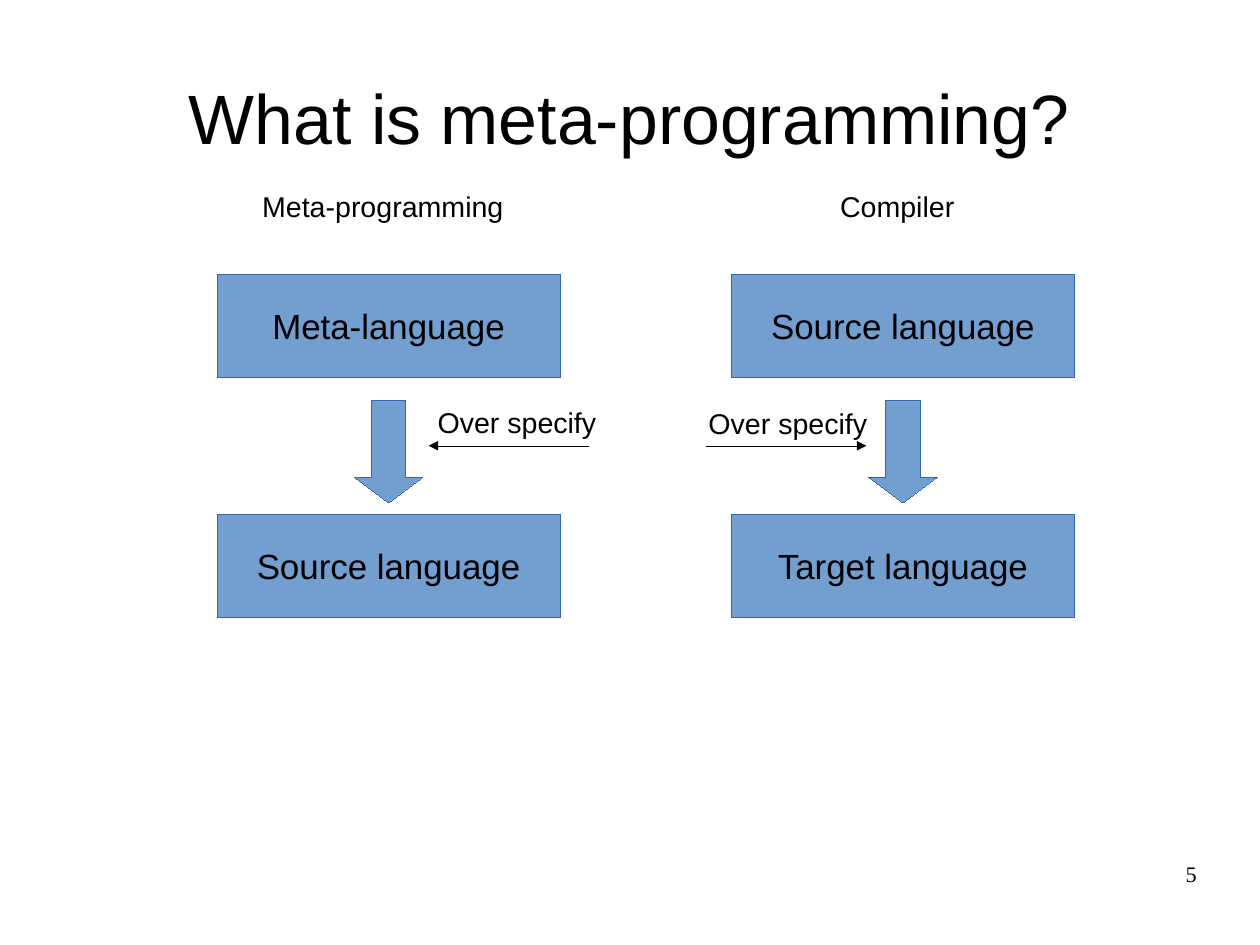
from lxml import etree
from pptx import Presentation
from pptx.dml.color import RGBColor
from pptx.enum.shapes import MSO_CONNECTOR, MSO_SHAPE
from pptx.enum.text import MSO_ANCHOR, MSO_AUTO_SIZE, PP_ALIGN
from pptx.oxml.ns import qn
from pptx.util import Pt

STRAIGHT = MSO_CONNECTOR.STRAIGHT
PROCESS, DOWN_ARROW = MSO_SHAPE.FLOWCHART_PROCESS, MSO_SHAPE.DOWN_ARROW
TOP, MIDDLE = MSO_ANCHOR.TOP, MSO_ANCHOR.MIDDLE
LEFT, CENTER, RIGHT = PP_ALIGN.LEFT, PP_ALIGN.CENTER, PP_ALIGN.RIGHT
FIT_SHAPE = MSO_AUTO_SIZE.SHAPE_TO_FIT_TEXT

COLORS = {"text": "000000", "fill": "729FCF", "line": "3465AF"}

presentation = Presentation()
presentation.slide_width, presentation.slide_height = Pt(793.7), Pt(595.28)
slide = presentation.slides.add_slide(presentation.slide_layouts[6])


def write(shape, text, size, align=CENTER, anchor=TOP, wrap=True,
          margins=(7.2, 3.6), font="Arial", fit=None):
    frame = shape.text_frame
    frame_format = {
        "word_wrap": wrap, "vertical_anchor": anchor,
        "margin_left": Pt(margins[0]), "margin_right": Pt(margins[0]),
        "margin_top": Pt(margins[1]), "margin_bottom": Pt(margins[1]),
    }
    if fit:
        frame_format["auto_size"] = fit
    for name, value in frame_format.items():
        setattr(frame, name, value)
    paragraph = frame.paragraphs[0]
    paragraph.text = text
    paragraph.alignment = align
    for name, value in {"name": font, "size": Pt(size)}.items():
        setattr(paragraph.font, name, value)
    paragraph.font.color.rgb = RGBColor.from_string(COLORS["text"])


def add_block(kind, left, top, width, height):
    shape = slide.shapes.add_shape(kind, Pt(left), Pt(top), Pt(width), Pt(height))
    shape.shadow.inherit = False
    shape.fill.solid()
    shape.fill.fore_color.rgb = RGBColor.from_string(COLORS["fill"])
    shape.line.color.rgb = RGBColor.from_string(COLORS["line"])
    shape.line._get_or_add_ln().set("w", "0")
    return shape


title = slide.shapes.add_textbox(Pt(39.6), Pt(23.76), Pt(714.24), Pt(99.36))
write(title, "What is meta-programming?", 44, anchor=MIDDLE, margins=(0, 0))

columns = [
    (136.8, 151.2, "Meta-programming", ("Meta-language", "Source language")),
    (460.8, 475.2, "Compiler", ("Source language", "Target language")),
]
for column_left, heading_left, heading_text, languages in columns:
    for row, language in enumerate(languages):
        box = add_block(PROCESS, column_left, 172.8 + row * 151.2, 216, 64.8)
        write(box, language, 22, anchor=MIDDLE, wrap=False)
    arrow = add_block(DOWN_ARROW, column_left + 86.4, 252, 43.2, 64.8)
    arrow.adjustments[0], arrow.adjustments[1] = 0.5, 0.375
    heading = slide.shapes.add_textbox(Pt(heading_left), Pt(115.2), Pt(180), Pt(50.4))
    write(heading, heading_text, 18)

pointers = [(444.96, 545.76, 439.2, 252), (370.8, 270, 268.56, 251.28)]
for start, end, label_left, label_top in pointers:
    pointer = slide.shapes.add_connector(STRAIGHT, Pt(start), Pt(280.8), Pt(end), Pt(280.8))
    pointer.line.color.rgb = RGBColor.from_string(COLORS["text"])
    outline = pointer.line._get_or_add_ln()
    outline.set("w", "0")
    etree.SubElement(outline, qn("a:tailEnd"), type="triangle")
    etree.SubElement(pointer._element.spPr, qn("a:effectLst"))
    label = slide.shapes.add_textbox(Pt(label_left), Pt(label_top), Pt(114.48), Pt(29.52))
    write(label, "Over specify", 18, align=LEFT, wrap=False, fit=FIT_SHAPE)

page_number = slide.shapes.add_textbox(Pt(568.8), Pt(542.16), Pt(185.04), Pt(41.04))
write(page_number, "5", 14, align=RIGHT, margins=(0, 0), font="Times New Roman")

presentation.save("out.pptx")
